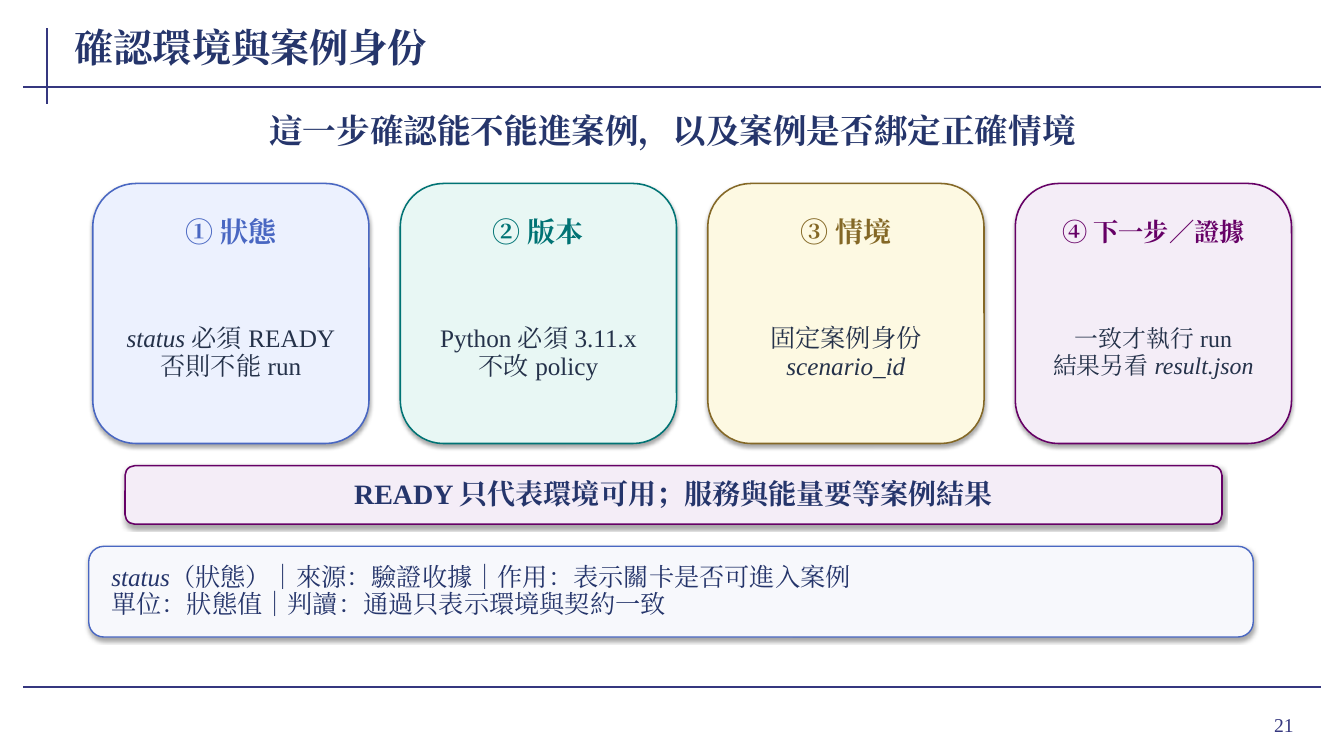
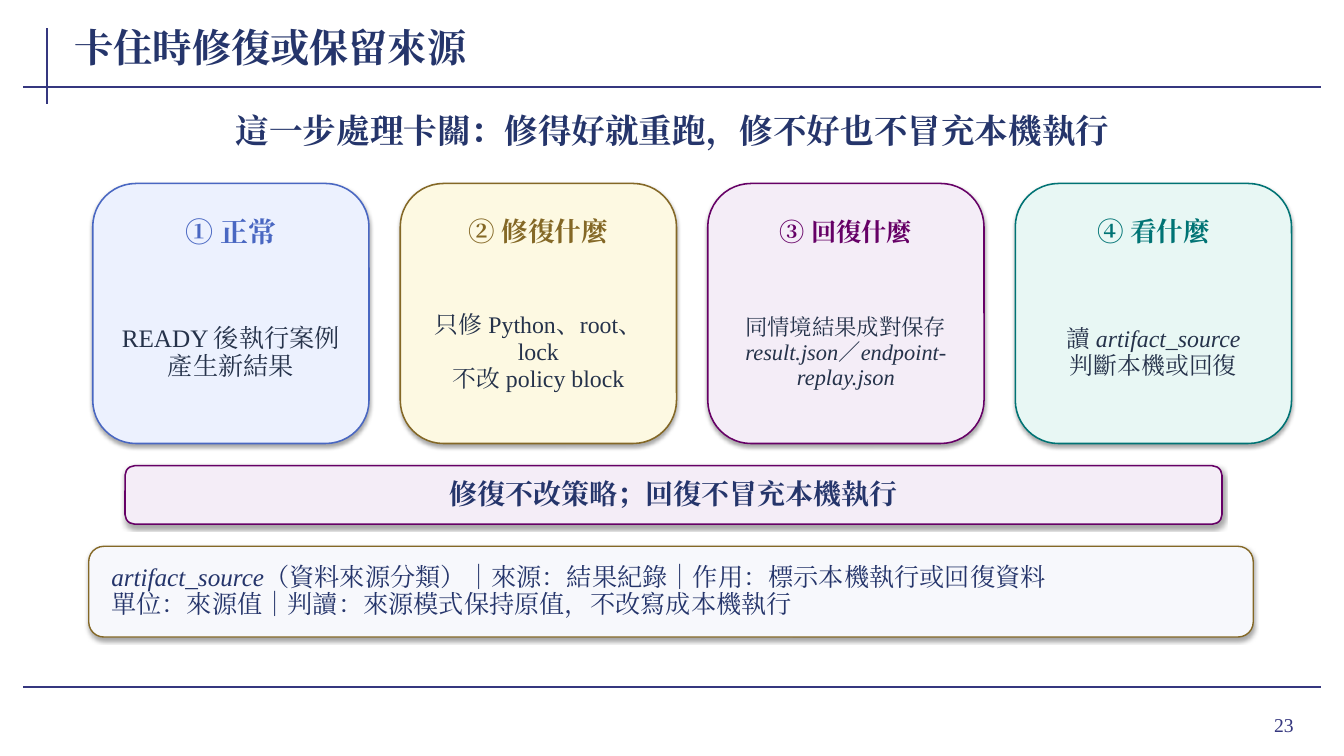
from lxml.etree import SubElement
from pptx import Presentation
from pptx.dml.color import RGBColor
from pptx.enum.shapes import MSO_CONNECTOR, MSO_SHAPE
from pptx.enum.text import MSO_ANCHOR, MSO_AUTO_SIZE, PP_ALIGN
from pptx.oxml import parse_xml
from pptx.oxml.ns import nsdecls, qn
from pptx.util import Inches, Pt

FONT = "Times New Roman"
COLORS = {
    "rule": "35377F", "navy": "25356B", "body": "25324A", "note": "F7F8FC",
    "blue": "4967C2", "blue_fill": "ECF1FE",
    "teal": "007374", "teal_fill": "E8F7F4",
    "gold": "846826", "gold_fill": "FDF9E2",
    "plum": "660066", "plum_fill": "F4EDF7",
}
RULES = [(0.47, 0.28, 0.47, 1.03), (0.23, 0.86, 13.1, 0.86), (0.23, 6.82, 13.1, 6.82)]
TITLE_BOX = (0.72, 0.2, 10.35, 0.53)
CARD_LEFT, CARD_TOP, CARD_W, CARD_H, CARD_PITCH = 0.92, 1.82, 2.74, 2.58, 3.05

# inset is (left and right, top and bottom) in inches
STYLES = {
    "title": dict(size=28, color="navy", bold=True, inset=(0.02, 0), align=PP_ALIGN.LEFT),
    "lead": dict(size=24, color="navy", bold=True, inset=(0.02, 0), spacing=0.96),
    "heading": dict(bold=True, inset=(0.03, 0.01), spacing=0.92),
    "card": dict(color="body", inset=(0.05, 0.01), spacing=0.94),
    "band": dict(size=20, color="navy", bold=True, inset=(0.12, 0.04), spacing=0.95),
    "note": dict(size=18, color="navy", inset=(0.18, 0.03), spacing=0.9, align=PP_ALIGN.LEFT),
    "page": dict(size=14, color="rule", inset=(0.1, 0.05), align=PP_ALIGN.RIGHT),
}

SLIDES = [
    dict(
        page="21",
        title="確認環境與案例身份",
        lead="這一步確認能不能進案例，以及案例是否綁定正確情境",
        cards=[
            ("blue", "① 狀態", 20, ["*status* 必須 READY", "否則不能 run"], 18),
            ("teal", "② 版本", 20, ["Python 必須 3.11.x", "不改 policy"], 18),
            ("gold", "③ 情境", 20, ["固定案例身份", "*scenario_id*"], 18),
            ("plum", "④ 下一步／證據", 18, ["一致才執行 run", "結果另看 *result.json*"], 17),
        ],
        band="READY 只代表環境可用；服務與能量要等案例結果",
        note_line="blue",
        note=["*status*（狀態）｜來源：驗證收據｜作用：表示關卡是否可進入案例",
              "單位：狀態值｜判讀：通過只表示環境與契約一致"],
    ),
    dict(
        page="23",
        title="卡住時修復或保留來源",
        lead="這一步處理卡關：修得好就重跑，修不好也不冒充本機執行",
        cards=[
            ("blue", "① 正常", 20, ["READY 後執行案例", "產生新結果"], 18),
            ("gold", "② 修復什麼", 19, ["只修 Python、root、lock", "不改 policy block"], 17),
            ("plum", "③ 回復什麼", 18,
             ["同情境結果成對保存", "*result.json*／*endpoint-replay.json*"], 16),
            ("teal", "④ 看什麼", 19, ["讀 *artifact_source*", "判斷本機或回復"], 17),
        ],
        band="修復不改策略；回復不冒充本機執行",
        note_line="gold",
        note=["*artifact_source*（資料來源分類）｜來源：結果紀錄｜作用：標示本機執行或回復資料",
              "單位：來源值｜判讀：來源模式保持原值，不改寫成本機執行"],
    ),
]


def rgb(name):
    return RGBColor.from_string(COLORS[name])


def inches(box):
    return [Inches(v) for v in box]


def write_text(sp, lines, style, **changes):
    """Fill a shape with one paragraph per line; *...* marks italic text."""
    fmt = {**STYLES[style], **changes}
    side, end = inches(fmt["inset"])
    tf = sp.text_frame
    frame = dict(word_wrap=True, auto_size=MSO_AUTO_SIZE.NONE,
                 vertical_anchor=MSO_ANCHOR.MIDDLE, margin_left=side,
                 margin_right=side, margin_top=end, margin_bottom=end)
    for name, value in frame.items():
        setattr(tf, name, value)
    for i, line in enumerate(lines):
        p = tf.add_paragraph() if i else tf.paragraphs[0]
        p.alignment = fmt.get("align", PP_ALIGN.CENTER)
        p.line_spacing = fmt.get("spacing", 1.0)
        for j, part in enumerate(line.split("*")):
            if part:
                add_run(p, part, fmt, italic=j % 2 == 1)


def add_run(p, text, fmt, italic):
    r = p.add_run()
    r.text = text
    font = dict(name=FONT, size=Pt(fmt["size"]), bold=fmt.get("bold", False), italic=italic)
    for name, value in font.items():
        setattr(r.font, name, value)
    r.font.color.rgb = rgb(fmt["color"])
    SubElement(r.font._element, qn("a:ea"), typeface=FONT)


def add_label(s, box, lines, style, **changes):
    write_text(s.shapes.add_textbox(*inches(box)), lines, style, **changes)


def add_panel(s, box, fill, line, width=1.1):
    """Add a rounded rectangle with a soft shadow below it."""
    sp = s.shapes.add_shape(MSO_SHAPE.ROUNDED_RECTANGLE, *inches(box))
    sp.fill.solid()
    sp.fill.fore_color.rgb = rgb(fill)
    sp.line.color.rgb = rgb(line)
    sp.line.width = Pt(width)
    sp.shadow.inherit = False
    effects = sp._element.spPr.find(qn("a:effectLst"))
    effects.append(parse_xml(
        f'<a:outerShdw {nsdecls("a")} blurRad="{Pt(3.1)}" dist="{Pt(1.8)}" dir="5400000" '
        'rotWithShape="0"><a:srgbClr val="000000"><a:alpha val="35000"/></a:srgbClr>'
        '</a:outerShdw>'))
    return sp


def add_card(s, index, color, heading, heading_size, lines, size):
    left = CARD_LEFT + index * CARD_PITCH
    add_panel(s, (left, CARD_TOP, CARD_W, CARD_H), color + "_fill", color)
    add_label(s, (left + 0.16, 2.02, 2.42, 0.58), [heading], "heading",
              size=heading_size, color=color)
    add_label(s, (left + 0.18, 2.8, 2.38, 1.4), lines, "card", size=size)


def place(sp, box):
    for name, value in zip(("left", "top", "width", "height"), inches(box)):
        setattr(sp, name, value)


def dress_layout(layout, s):
    """Place the layout title and move rules drawn on s into the layout."""
    place(layout.placeholders[0], TITLE_BOX)
    for ends in RULES:
        rule = s.shapes.add_connector(MSO_CONNECTOR.STRAIGHT, *inches(ends))
        rule.line.color.rgb = rgb("rule")
        rule.line.width = Pt(1.5)
        SubElement(rule._element.spPr, qn("a:effectLst"))
        layout.shapes._spTree.append(rule._element)


def fill_slide(s, content):
    write_text(s.shapes.title, [content["title"]], "title")
    add_label(s, (11.96, 6.93, 0.97, 0.52), [content["page"]], "page")
    add_label(s, (1.02, 1.05, 11.3, 0.52), [content["lead"]], "lead")
    for i, card in enumerate(content["cards"]):
        add_card(s, i, *card)
    band = add_panel(s, (1.24, 4.62, 10.88, 0.58), "plum_fill", "plum")
    write_text(band, [content["band"]], "band")
    note = add_panel(s, (0.88, 5.42, 11.55, 0.9), "note", content["note_line"], width=1)
    write_text(note, content["note"], "note")


def main():
    prs = Presentation()
    prs.slide_width, prs.slide_height = inches((13.33, 7.5))
    layout = prs.slide_layouts.get_by_name("Title Only")
    slides = [prs.slides.add_slide(layout) for _ in SLIDES]
    dress_layout(layout, slides[0])
    for s, content in zip(slides, SLIDES):
        fill_slide(s, content)
    prs.save("out.pptx")


if __name__ == "__main__":
    main()
